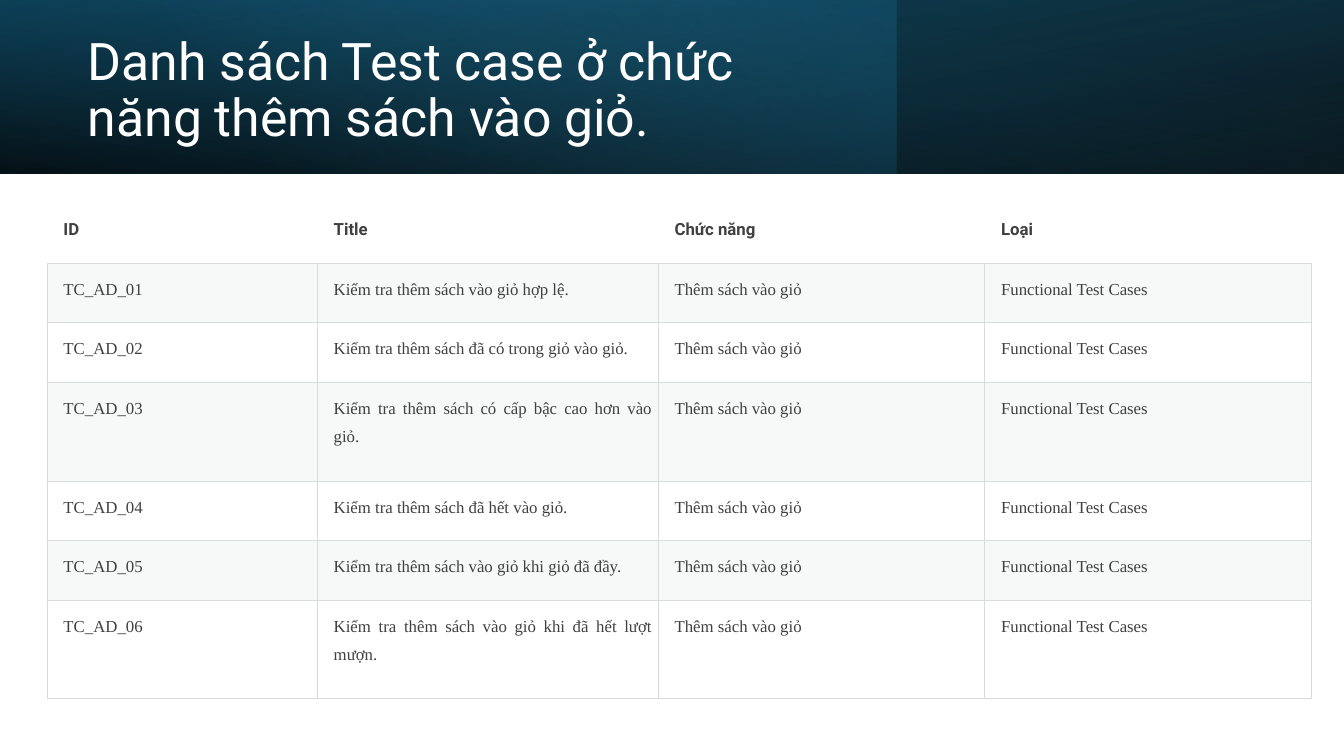
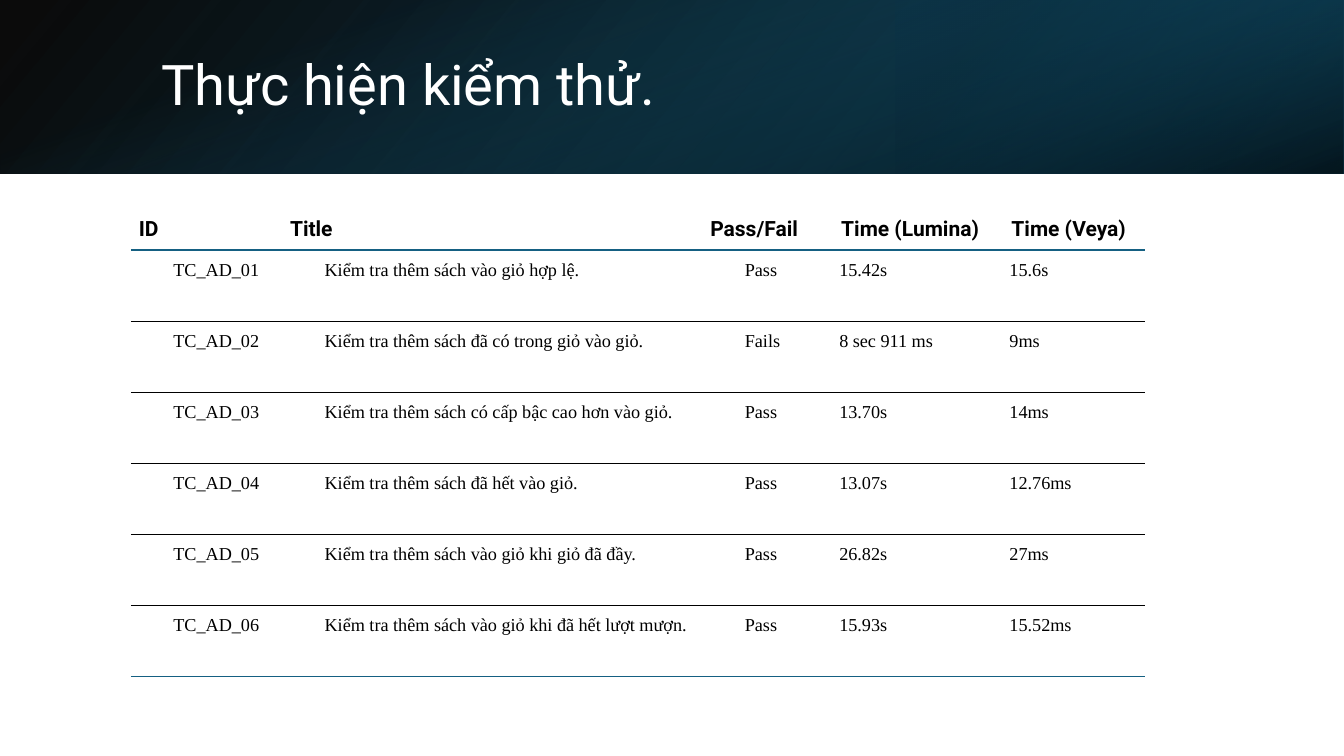
from dataclasses import dataclass

from lxml import etree
from pptx import Presentation
from pptx import util as u
from pptx.dml.color import RGBColor
from pptx.enum import shapes, text
from pptx.oxml import ns


@dataclass(frozen=True)
class Theme:
    white: str = "FFFFFF"
    black: str = "000000"
    ink: str = "404040"
    grid: str = "D8DCDC"
    stripe: str = "D8DEDC"
    teal: str = "156082"
    deep: str = "104862"
    navy: str = "0B3041"
    sky: str = "46B1E1"
    heading: str = "Roboto"
    body: str = "Times New Roman"
    long_title: int = 37
    short_title: int = 40
    list_size: int = 12
    result_head: int = 15
    result_size: int = 13


T = Theme()
WIDTH, HEIGHT, BAND = 33.87, 19.05, 4.37
SIDE = (WIDTH - BAND) / 2

# Each layer: box in cm, clockwise gradient angle, (position, colour, opacity)
# stops, rotation, horizontal flip.
LIST_BAND = [
    ((0, 0, WIDTH, BAND), 100, [(0, T.black, 96), (100, T.deep, 100)], 180, True),
    ((0, 0, 22.58, BAND), 140, [(0, T.teal, 41), (74, T.sky, 0)], 0, False),
    ((0, 0, WIDTH, BAND), 260, [(0, T.black, 63), (78, T.teal, 15)], 0, True),
]
RESULT_BAND = [
    ((0, 0, WIDTH, BAND), 140, [(0, T.black, 96), (100, T.deep, 100)], 0, True),
    ((22.58, 0, 11.29, BAND), 320, [(19, T.navy, 68), (100, T.teal, 79)], 180, True),
    ((SIDE, -SIDE, BAND, WIDTH), 340, [(23, T.teal, 0), (99, T.black, 74)], 90, False),
]

CASES = [
    "Kiểm tra thêm sách vào giỏ hợp lệ.",
    "Kiểm tra thêm sách đã có trong giỏ vào giỏ.",
    "Kiểm tra thêm sách có cấp bậc cao hơn vào giỏ.",
    "Kiểm tra thêm sách đã hết vào giỏ.",
    "Kiểm tra thêm sách vào giỏ khi giỏ đã đầy.",
    "Kiểm tra thêm sách vào giỏ khi đã hết lượt mượn.",
]
RESULTS = [
    ("Pass", "15.42s", "15.6s"),
    ("Fails", "8 sec 911 ms", "9ms"),
    ("Pass", "13.70s", "14ms"),
    ("Pass", "13.07s", "12.76ms"),
    ("Pass", "26.82s", "27ms"),
    ("Pass", "15.93s", "15.52ms"),
]

JUSTIFIED = dict(alignment=text.PP_ALIGN.JUSTIFY, line_spacing=1.5)
SPACED = dict(JUSTIFIED, space_before=u.Pt(6), space_after=u.Pt(6))
LEFT = dict(alignment=text.PP_ALIGN.LEFT)


def apply(obj, values):
    for name, value in values.items():
        setattr(obj, name, value)


def font(name, size, color, bold=False):
    return dict(name=name, size=u.Pt(size), bold=bold, color=color)


def margins(left, top, right, bottom):
    return dict(margin_left=u.Cm(left), margin_top=u.Cm(top),
                margin_right=u.Cm(right), margin_bottom=u.Cm(bottom))


def write(tf, words, para, face):
    p = tf.paragraphs[0]
    apply(p, para)
    r = p.add_run()
    r.text = words
    apply(r.font, {k: v for k, v in face.items() if k != "color"})
    r.font.color.rgb = RGBColor.from_string(face["color"])


def set_opacity(element, percents):
    """Give the colours inside element their opacities, in order."""
    for clr, percent in zip(element.iter(ns.qn("a:srgbClr")), percents):
        if percent < 100:
            etree.SubElement(clr, ns.qn("a:alpha")).set("val", str(percent * 1000))


def add_layer(slide, box, angle, stops, rotation, flip):
    sp = slide.shapes.add_shape(shapes.MSO_SHAPE.RECTANGLE, *map(u.Cm, box))
    sp.shadow.inherit = False
    sp.line.fill.background()
    sp.rotation = rotation
    sp.fill.gradient()
    sp.fill.gradient_angle = 360 - angle
    for stop, (position, color, _) in zip(sp.fill.gradient_stops, stops):
        stop.position = position / 100
        stop.color.rgb = RGBColor.from_string(color)
    sp_pr = sp._element.spPr
    set_opacity(sp_pr, [opacity for _, _, opacity in stops])
    if flip:
        sp_pr.find(ns.qn("a:xfrm")).set("flipH", "1")


def add_banner(prs, layers, title, box, size):
    """Add a slide with its gradient band and the title above it."""
    slide = prs.slides.add_slide(prs.slide_layouts[5])
    for layer in layers:
        add_layer(slide, *layer)
    sp = slide.shapes.title
    slide.shapes._spTree.append(sp._element)
    apply(sp, dict(zip(("left", "top", "width", "height"), map(u.Cm, box))))
    apply(sp.text_frame, dict(vertical_anchor=text.MSO_ANCHOR.MIDDLE, word_wrap=True,
                              auto_size=text.MSO_AUTO_SIZE.NONE))
    write(sp.text_frame, title, dict(LEFT, line_spacing=0.9),
          font(T.heading, size, T.white))
    return slide


def set_borders(cell, **sides):
    """Draw the sides L, R, T and B, each a (colour, points) pair or None."""
    tc_pr = cell._tc.get_or_add_tcPr()
    for i, side in enumerate("LRTB"):
        ln = etree.Element(ns.qn(f"a:ln{side}"))
        if sides[side]:
            color, points = sides[side]
            ln.set("w", str(u.Pt(points)))
            fill = etree.SubElement(ln, ns.qn("a:solidFill"))
            etree.SubElement(fill, ns.qn("a:srgbClr")).set("val", color)
        else:
            etree.SubElement(ln, ns.qn("a:noFill"))
        tc_pr.insert(i, ln)


def set_fill(cell, striped):
    if not striped:
        cell.fill.background()
        return
    cell.fill.solid()
    cell.fill.fore_color.rgb = RGBColor.from_string(T.stripe)
    set_opacity(cell._tc.tcPr, [20])


def add_grid(slide, origin, cols, heights, rows, rules, style, side=None, striped=False):
    """Add a table; rules holds the line above each row and below the last.

    style(row, column) gives the cell margins, paragraph format and font.
    """
    frame = slide.shapes.add_table(len(rows), len(cols), *map(
        u.Cm, (*origin, sum(cols), sum(heights))))
    table = frame.table
    apply(table, dict(first_row=False, horz_banding=False))
    for column, width in zip(table.columns, cols):
        column.width = u.Cm(width)
    for i, (row, height) in enumerate(zip(rows, heights)):
        table.rows[i].height = u.Cm(height)
        edge = side if i else None
        for j, words in enumerate(row):
            cell = table.cell(i, j)
            inset, para, face = style(i, j)
            apply(cell, inset)
            write(cell.text_frame, words, para, face)
            set_fill(cell, striped and i % 2 == 1)
            set_borders(cell, L=edge, R=edge, T=rules[i], B=rules[i + 1])


def list_style(i, j):
    if i == 0:
        return margins(0.41, 0.2, 0.2, 0.2), LEFT, font(T.heading, T.list_size, T.ink, True)
    return margins(0.41, 0.2, 0.15, 0.2), SPACED, font(T.body, T.list_size, T.ink)


def result_style(i, j):
    if i == 0:
        return margins(0.2, 0.1, 0.2, 0.1), LEFT, font(T.heading, T.result_head, T.black, True)
    is_time = j > 2
    return (margins(0.15 if is_time else 1.07, 0, 0.15, 0),
            SPACED if is_time else JUSTIFIED,
            font(T.body, T.result_size, T.black))


def add_case_list(prs):
    slide = add_banner(prs, LIST_BAND, "Danh sách Test case ở chức năng thêm sách vào giỏ.",
                       (1.96, 0.69, 19.61, 3.23), T.long_title)
    rows = [("ID", "Title", "Chức năng", "Loại")]
    rows += [(f"TC_AD_{n:02}", case, "Thêm sách vào giỏ", "Functional Test Cases")
             for n, case in enumerate(CASES, 1)]
    line = (T.grid, 0.75)
    add_grid(slide, (1.19, 5.33), (6.81, 8.59, 8.23, 8.23),
             [1.3] + [1.5, 1.5, 2.49] * 2, rows, [None] + [line] * len(rows),
             list_style, side=line, striped=True)


def add_results(prs):
    slide = add_banner(prs, RESULT_BAND, "Thực hiện kiểm thử.",
                       (3.81, 0.97, 27.89, 2.44), T.short_title)
    rows = [("ID", "Title", "Pass/Fail", "Time (Lumina)", "Time (Veya)")]
    rows += [(f"TC_AD_{n:02}", case, *result)
             for n, (case, result) in enumerate(zip(CASES, RESULTS), 1)]
    rules = [None, (T.teal, 1.5)] + [(T.black, 0.25)] * (len(CASES) - 1) + [(T.teal, 1)]
    add_grid(slide, (3.3, 5.36), (3.81, 10.59, 3.3, 4.29, 3.57),
             [0.94] + [1.79] * len(CASES), rows, rules, result_style)


def main():
    prs = Presentation()
    apply(prs, dict(slide_width=u.Cm(WIDTH), slide_height=u.Cm(HEIGHT)))
    add_case_list(prs)
    add_results(prs)
    prs.save("out.pptx")


if __name__ == "__main__":
    main()
